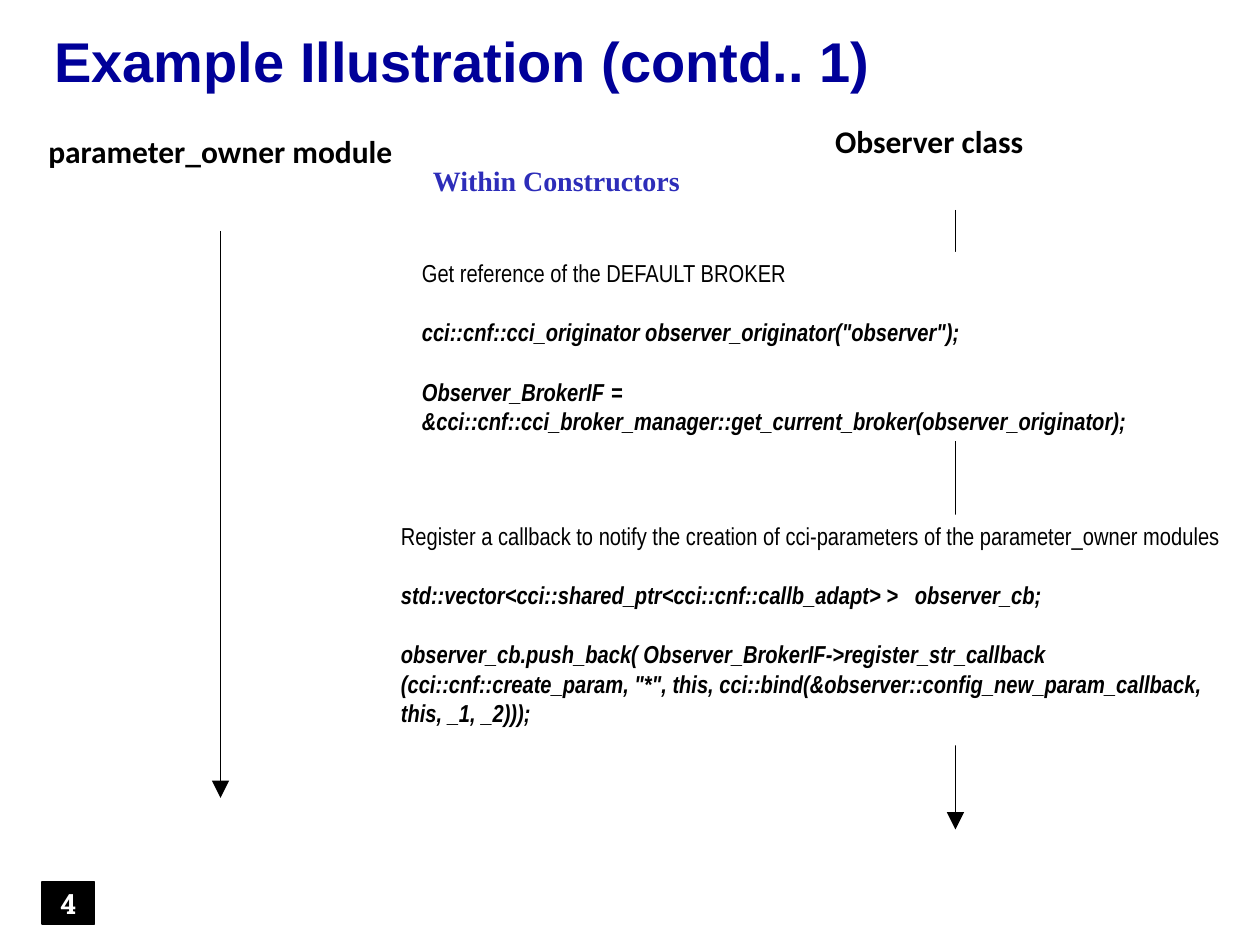
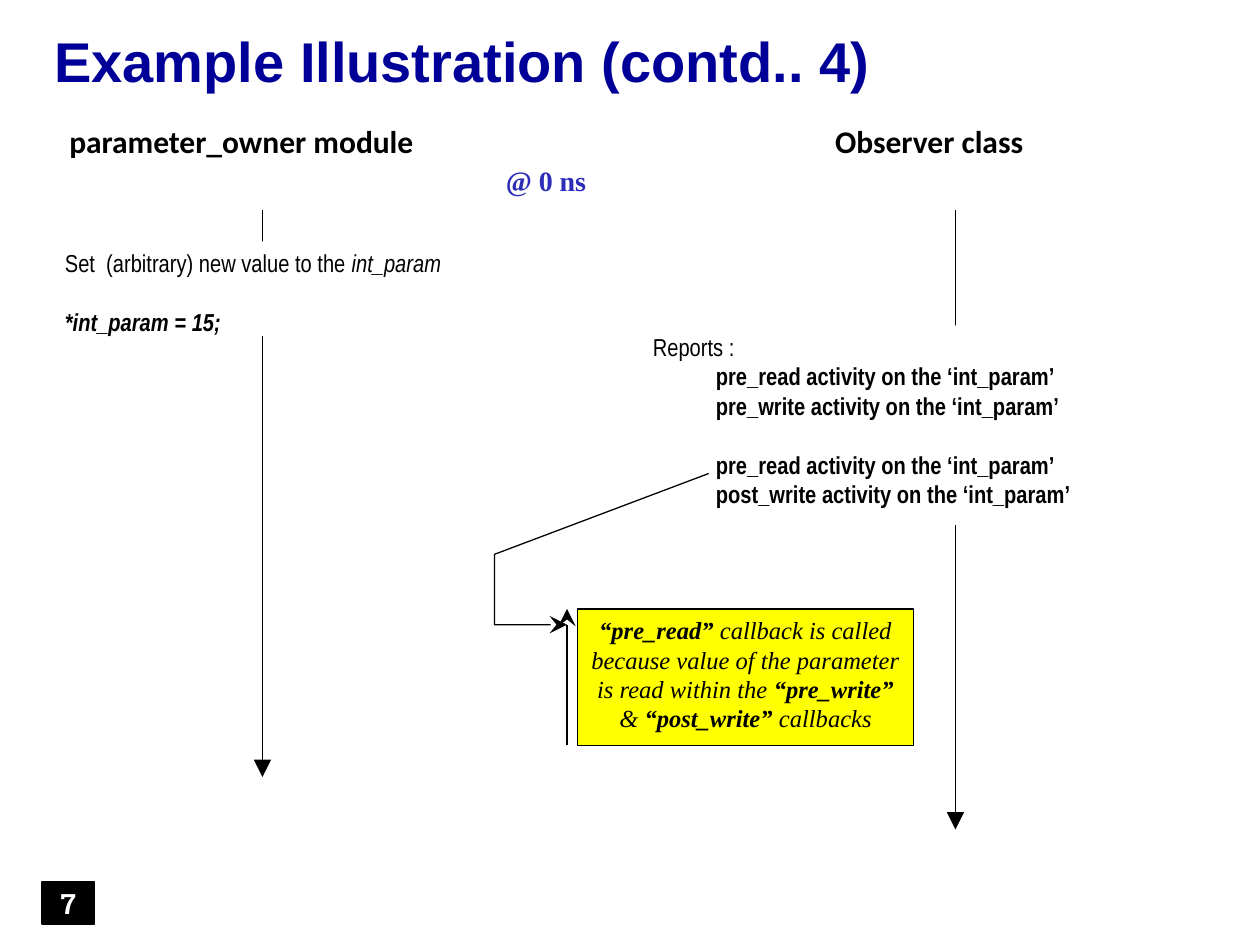
from dataclasses import dataclass
from typing import Optional

from lxml.etree import SubElement
from pptx import Presentation
from pptx.dml.color import RGBColor
from pptx.enum.shapes import MSO_CONNECTOR, MSO_SHAPE
from pptx.enum.text import MSO_ANCHOR, PP_ALIGN
from pptx.oxml.ns import qn
from pptx.util import Emu, Pt

PX_PER_INCH = 120
EMU_PER_PX = 914400 // PX_PER_INCH
LINE_WIDTH = Pt(0.75)
BLANK_LINE = 17
TAB_STEP = 60

BLACK = "000000"
WHITE = "FFFFFF"
NAVY = "000099"
INDIGO = "2D2DB9"
YELLOW = "FFFF00"


@dataclass(frozen=True)
class Style:
    font: str
    size: int
    color: str = BLACK
    align: PP_ALIGN = PP_ALIGN.LEFT
    spacing: Optional[float] = None


TITLE = Style("Arial", 32, NAVY, spacing=0.85)
HEADING = Style("Calibri", 18, align=PP_ALIGN.CENTER)
PHASE = Style("Times New Roman", 16, INDIGO, PP_ALIGN.CENTER)
BODY = Style("Arial Narrow", 14)
NOTE = Style("Times New Roman", 14, align=PP_ALIGN.CENTER)
NUMBER = Style("Roboto Slab", 16, WHITE, PP_ALIGN.CENTER)


@dataclass(frozen=True)
class Span:
    text: str
    bold: bool = False
    italic: bool = False


@dataclass(frozen=True)
class Para:
    spans: tuple[Span, ...]
    space_before: int = 0
    indent: int = 0
    tab_count: int = 0


@dataclass(frozen=True)
class Box:
    left: int
    top: int
    width: int
    height: int
    style: Style
    paras: tuple[Para, ...]
    fill: Optional[str] = WHITE
    outlined: bool = False
    wrap: bool = True
    anchor: MSO_ANCHOR = MSO_ANCHOR.TOP


@dataclass(frozen=True)
class Arrow:
    x: int
    start: int
    end: int
    head: str = "triangle"


def px(length: int) -> Emu:
    return Emu(length * EMU_PER_PX)


def rgb(color: str) -> RGBColor:
    return RGBColor.from_string(color)


def plain(text: str) -> Para:
    return Para((Span(text),))


def bold(text: str, space_before: int = 0, indent: int = 0) -> Para:
    return Para((Span(text, bold=True),), space_before, indent)


def code(text: str, tab_count: int = 0) -> Para:
    return Para((Span(text, True, True),), BLANK_LINE, tab_count=tab_count)


def add_tabs(paragraph, count: int) -> None:
    tabs = SubElement(paragraph._p.get_or_add_pPr(), qn("a:tabLst"))
    for number in range(1, count + 1):
        SubElement(tabs, qn("a:tab"), pos=str(px(number * TAB_STEP)), algn="l")


def write_para(paragraph, para: Para, style: Style) -> None:
    if para.tab_count:
        add_tabs(paragraph, para.tab_count)
    if para.indent:
        properties = paragraph._p.get_or_add_pPr()
        properties.set("marL", str(px(para.indent)))
        properties.set("indent", "0")
    paragraph.alignment = style.align
    if style.spacing:
        paragraph.line_spacing = style.spacing
    if para.space_before:
        paragraph.space_before = Pt(para.space_before)
    paragraph.font.name = style.font
    paragraph.font.size = Pt(style.size)
    paragraph.font.color.rgb = rgb(style.color)
    runs = []
    for span in para.spans:
        run = paragraph.add_run()
        run.text = span.text
        runs.append(run)
    for name in ("bold", "italic"):
        values = [getattr(span, name) for span in para.spans]
        if len(set(values)) == 1:
            setattr(paragraph.font, name, values[0])
        else:
            for run, value in zip(runs, values):
                setattr(run.font, name, value)


def draw_box(page, box: Box) -> None:
    place = [px(side) for side in (box.left, box.top, box.width, box.height)]
    if box.fill:
        shape = page.shapes.add_shape(MSO_SHAPE.RECTANGLE, *place)
        shape.shadow.inherit = False
        shape.fill.solid()
        shape.fill.fore_color.rgb = rgb(box.fill)
    else:
        shape = page.shapes.add_textbox(*place)
    if box.outlined:
        shape.line.color.rgb = rgb(BLACK)
        shape.line.width = LINE_WIDTH
    else:
        shape.line.fill.background()
    frame = shape.text_frame
    frame.word_wrap = box.wrap
    frame.vertical_anchor = box.anchor
    for index, para in enumerate(box.paras):
        paragraph = frame.add_paragraph() if index else frame.paragraphs[0]
        write_para(paragraph, para, box.style)


def style_line(shape, end: str, head: str) -> None:
    shape.line.color.rgb = rgb(BLACK)
    shape.line.width = LINE_WIDTH
    SubElement(shape.line._get_or_add_ln(), qn(f"a:{end}"), type=head, w="lg", len="lg")


def draw_arrow(page, arrow: Arrow) -> None:
    connector = page.shapes.add_connector(
        MSO_CONNECTOR.STRAIGHT, px(arrow.x), px(arrow.start), px(arrow.x), px(arrow.end))
    style_line(connector, "tailEnd", arrow.head)
    SubElement(connector._element.spPr, qn("a:effectLst"))


def draw_leader(page, points: list[tuple[int, int]]) -> None:
    builder = page.shapes.build_freeform(*points[0], scale=EMU_PER_PX)
    builder.add_line_segments(points[1:], close=False)
    leader = builder.convert_to_shape()
    leader.shadow.inherit = False
    leader.fill.background()
    style_line(leader, "headEnd", "stealth")


def add_page(deck, part: int, number: int, owner_arrow: Arrow,
             owner_heading: tuple[int, int], boxes: list[Box]):
    page = deck.slides.add_slide(deck.slide_layouts[6])
    draw_arrow(page, Arrow(910, 200, 790))
    draw_arrow(page, owner_arrow)
    shared = [
        Box(710, 110, 350, 50, HEADING, (bold("Observer class"),)),
        Box(*owner_heading, 380, 50, HEADING, (bold("parameter_owner module"),)),
        Box(40, 840, 50, 40, NUMBER, (bold(str(number)),), BLACK, True, False,
            MSO_ANCHOR.MIDDLE),
        Box(40, 29, 1132, 71, TITLE,
            (bold(f"Example Illustration (contd.. {part})"),), None),
    ]
    for box in boxes + shared:
        draw_box(page, box)
    return page


def add_constructors_page(deck) -> None:
    broker = (
        plain("Get reference of the DEFAULT BROKER"),
        code('cci::cnf::cci_originator observer_originator("observer");'),
        code("Observer_BrokerIF\t=\t&cci::cnf::cci_broker_manager::"
             "get_current_broker(observer_originator);", tab_count=7),
    )
    callback = (
        plain("Register a callback to notify the creation of cci-parameters "
              "of the parameter_owner modules"),
        code("std::vector<cci::shared_ptr<cci::cnf::callb_adapt> >   observer_cb;"),
        code("observer_cb.push_back( Observer_BrokerIF->register_str_callback "
             '(cci::cnf::create_param, "*", this, '
             "cci::bind(&observer::config_new_param_callback, this, _1, _2)));"),
    )
    add_page(deck, 1, 4, Arrow(210, 220, 760), (20, 120), [
        Box(350, 150, 360, 40, PHASE, (bold("Within Constructors"),)),
        Box(390, 240, 770, 180, BODY, broker),
        Box(370, 490, 820, 220, BODY, callback),
    ])


def add_zero_time_page(deck) -> None:
    new_value = (
        Para((Span("Set  (arbitrary) new value to the "),
              Span("int_param", italic=True))),
        code("*int_param = 15;"),
    )
    activities = [("pre_read", 0), ("pre_write", 0),
                  ("pre_read", BLANK_LINE), ("post_write", 0)]
    reports = (plain("Reports :"),) + tuple(
        bold(f"{activity} activity on the ‘int_param’", gap, TAB_STEP)
        for activity, gap in activities)
    reason = Para((
        Span("“pre_read”", True, True),
        Span(" callback is called because value of the parameter is read within the ",
             italic=True),
        Span("“pre_write”", True, True),
        Span(" & ", italic=True),
        Span("“post_write”", True, True),
        Span(" callbacks", italic=True),
    ))
    page = add_page(deck, 4, 7, Arrow(250, 200, 740), (40, 110), [
        Box(460, 150, 120, 40, PHASE, (bold("@ 0 ns"),)),
        Box(50, 230, 400, 90, BODY, new_value),
        Box(610, 310, 530, 190, BODY, reports),
        Box(550, 580, 320, 130, NOTE, (reason,), YELLOW, True),
    ])
    draw_leader(page, [(540, 595), (471, 595), (471, 528), (675, 451)])
    draw_arrow(page, Arrow(540, 710, 580, "stealth"))


def main() -> None:
    deck = Presentation()
    deck.slide_width = px(1200)
    deck.slide_height = px(900)
    add_constructors_page(deck)
    add_zero_time_page(deck)
    deck.save("out.pptx")


if __name__ == "__main__":
    main()
